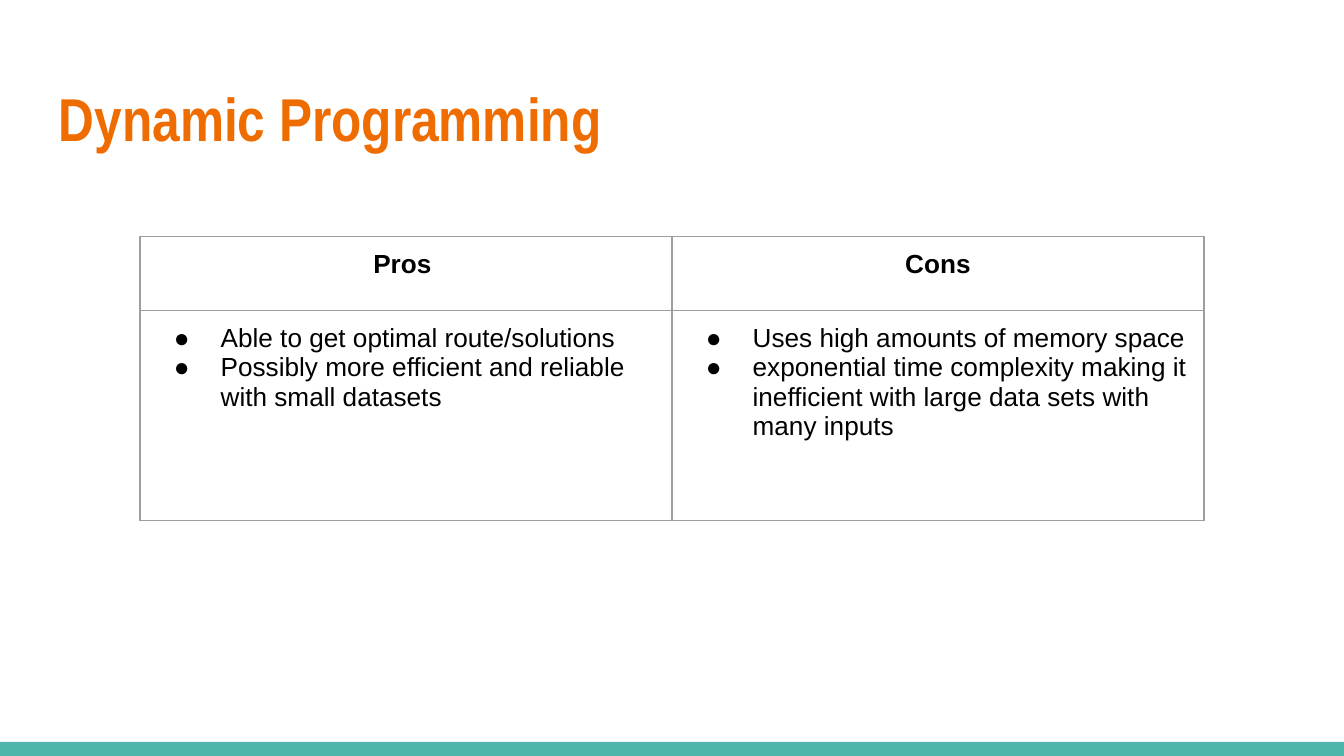
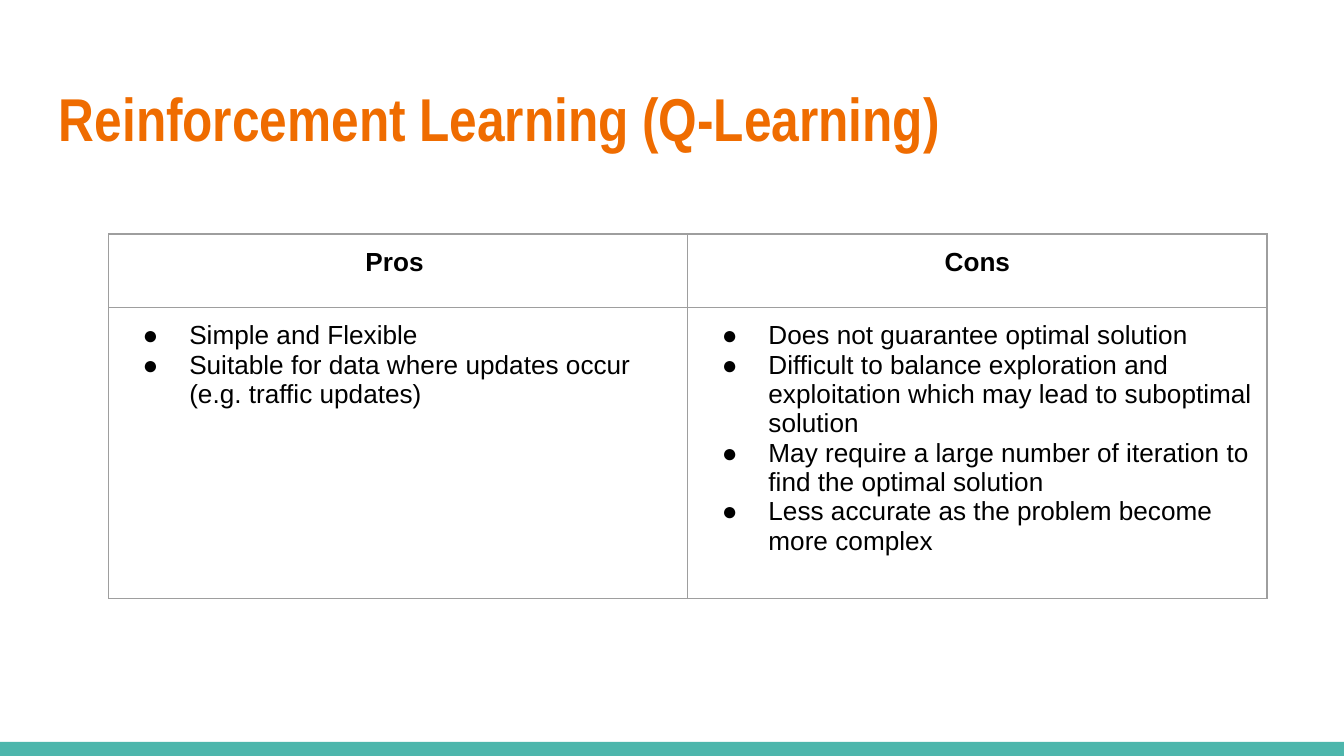
from dataclasses import dataclass

from lxml.etree import SubElement
from pptx import Presentation
from pptx.dml.color import RGBColor
from pptx.enum.shapes import MSO_SHAPE
from pptx.enum.text import MSO_ANCHOR, PP_ALIGN
from pptx.oxml.ns import qn
from pptx.slide import Slide
from pptx.table import _Cell
from pptx.text.text import TextFrame, _Paragraph
from pptx.util import Pt

SLIDE_WIDTH, SLIDE_HEIGHT = 720, 405
FOOTER_HEIGHT = 7.5
INSET = 7.2
HEADER_HEIGHT = 39.4
BULLET_INDENT, BULLET_HANG = 36, 25

TEAL = "4DB6AC"
ORANGE = "EF6C00"
BLACK = "000000"
GREY = "9E9E9E"
WHITE = "FFFFFF"

TITLE_FONT = {"name": "Arial Narrow", "size": Pt(32.4), "bold": True}
HEADER_FONT = {"name": "Arial", "size": Pt(14), "bold": True}
BODY_FONT = HEADER_FONT | {"bold": False}


@dataclass(frozen=True)
class Comparison:
    title: str
    pros: list[str]
    cons: list[str]
    left: float
    top: float
    column_width: float
    body_height: float


COMPARISONS = [
    Comparison(
        "Dynamic Programming",
        ["Able to get optimal route/solutions",
         "Possibly more efficient and reliable with small datasets"],
        ["Uses high amounts of memory space",
         "exponential time complexity making it inefficient with large "
         "data sets with many inputs"],
        left=75, top=126.8, column_width=285, body_height=112.5,
    ),
    Comparison(
        "Reinforcement Learning (Q-Learning)",
        ["Simple and Flexible",
         "Suitable for data where updates occur (e.g. traffic updates)"],
        ["Does not guarantee optimal solution",
         "Difficult to balance exploration and exploitation which may lead "
         "to suboptimal solution",
         "May require a large number of iteration to find the optimal solution",
         "Less accurate as the problem become more complex"],
        left=58.2, top=125.4, column_width=310.3, body_height=156,
    ),
]


def rgb(color: str) -> RGBColor:
    return RGBColor.from_string(color)


def set_insets(target: TextFrame | _Cell) -> None:
    for side in ("left", "top", "right", "bottom"):
        setattr(target, f"margin_{side}", Pt(INSET))


def write(paragraph: _Paragraph, text: str, font: dict, color: str) -> None:
    run = paragraph.add_run()
    run.text = text
    for attribute, value in font.items():
        setattr(run.font, attribute, value)
    run.font.color.rgb = rgb(color)


def add_bullet(paragraph: _Paragraph) -> None:
    properties = paragraph._p.get_or_add_pPr()
    properties.set("marL", str(Pt(BULLET_INDENT)))
    properties.set("indent", str(-Pt(BULLET_HANG)))
    bullet_color = SubElement(properties, qn("a:buClr"))
    SubElement(bullet_color, qn("a:srgbClr"), val=BLACK)
    SubElement(properties, qn("a:buFont"), typeface="Arial")
    SubElement(properties, qn("a:buChar"), char="●")


def style_cell(cell: _Cell) -> None:
    """Give the cell its insets, thin grey borders and no fill."""
    set_insets(cell)
    properties = cell._tc.get_or_add_tcPr()
    for edge in ("lnL", "lnR", "lnT", "lnB"):
        line = SubElement(properties, qn(f"a:{edge}"), w=str(Pt(0.75)))
        line_fill = SubElement(line, qn("a:solidFill"))
        SubElement(line_fill, qn("a:srgbClr"), val=GREY)
    cell.fill.background()


def add_footer_band(slide: Slide) -> None:
    band = slide.shapes.add_shape(
        MSO_SHAPE.RECTANGLE, 0, Pt(SLIDE_HEIGHT - FOOTER_HEIGHT),
        Pt(SLIDE_WIDTH), Pt(FOOTER_HEIGHT))
    band.shadow.inherit = False
    band.fill.solid()
    band.fill.fore_color.rgb = rgb(TEAL)
    band.line.fill.background()


def add_title(slide: Slide, title: str) -> None:
    frame = slide.shapes.add_textbox(
        Pt(24.5), Pt(35.2), Pt(671), Pt(55.4)).text_frame
    frame.word_wrap = True
    frame.vertical_anchor = MSO_ANCHOR.MIDDLE
    set_insets(frame)
    write(frame.paragraphs[0], title, TITLE_FONT, ORANGE)


def add_comparison_table(slide: Slide, comparison: Comparison) -> None:
    heights = (HEADER_HEIGHT, comparison.body_height)
    table = slide.shapes.add_table(
        2, 2, Pt(comparison.left), Pt(comparison.top),
        Pt(2 * comparison.column_width), Pt(sum(heights))).table
    table.first_row = table.horz_banding = False
    for row, height in zip(table.rows, heights):
        row.height = Pt(height)
    for cell in table.iter_cells():
        style_cell(cell)

    columns = [("Pros ", comparison.pros), ("Cons", comparison.cons)]
    for index, (heading, points) in enumerate(columns):
        table.columns[index].width = Pt(comparison.column_width)
        header = table.cell(0, index).text_frame.paragraphs[0]
        header.alignment = PP_ALIGN.CENTER
        write(header, heading, HEADER_FONT, BLACK)

        body = table.cell(1, index).text_frame
        for number, point in enumerate(points):
            paragraph = body.add_paragraph() if number else body.paragraphs[0]
            add_bullet(paragraph)
            write(paragraph, point, BODY_FONT, BLACK)


def main() -> None:
    presentation = Presentation()
    presentation.slide_width = Pt(SLIDE_WIDTH)
    presentation.slide_height = Pt(SLIDE_HEIGHT)
    for comparison in COMPARISONS:
        slide = presentation.slides.add_slide(presentation.slide_layouts[6])
        slide.background.fill.solid()
        slide.background.fill.fore_color.rgb = rgb(WHITE)
        add_footer_band(slide)
        add_title(slide, comparison.title)
        add_comparison_table(slide, comparison)
    presentation.save("out.pptx")


if __name__ == "__main__":
    main()
